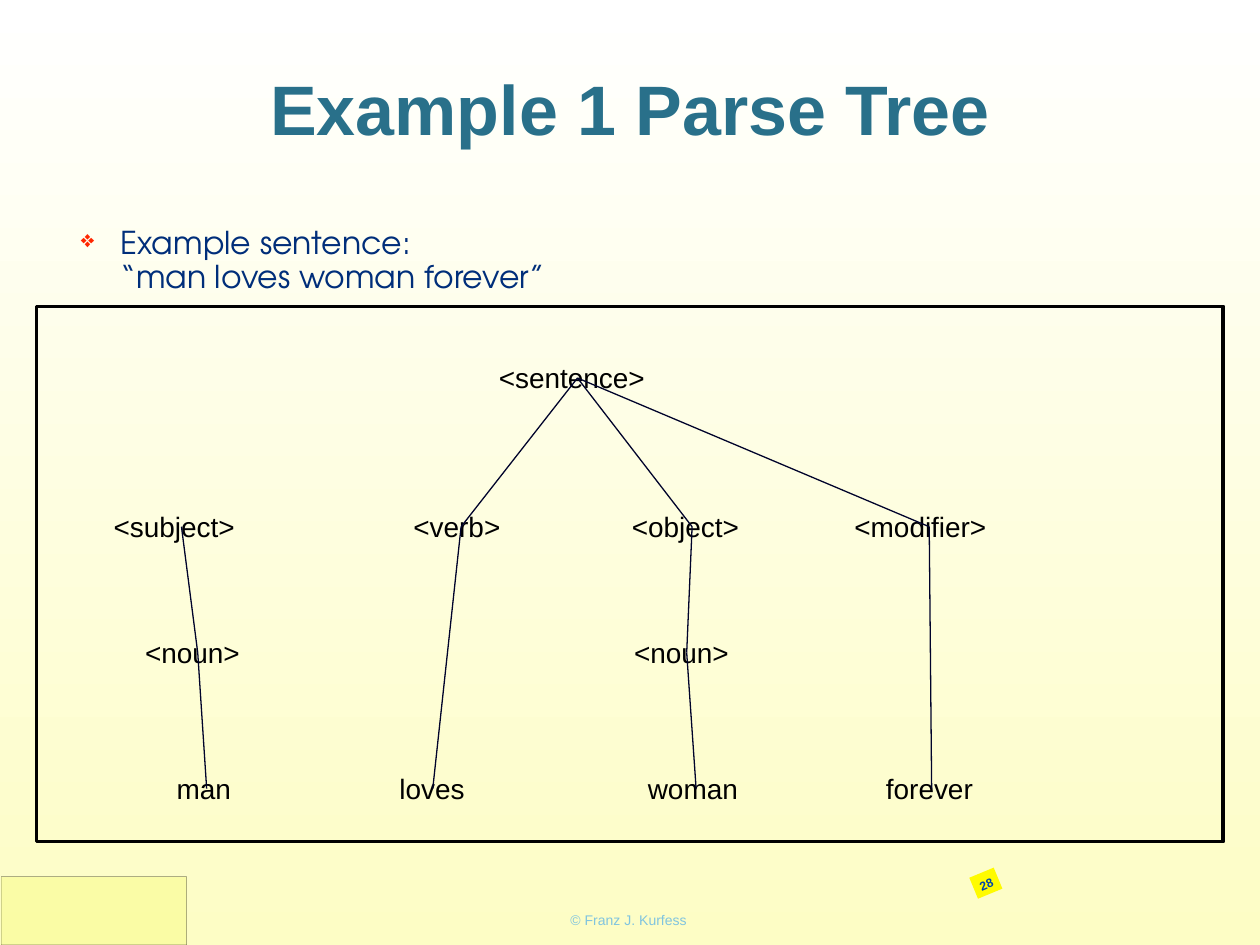
from lxml import etree
from pptx import Presentation
from pptx.dml.color import RGBColor
from pptx.enum.shapes import MSO_CONNECTOR, MSO_SHAPE
from pptx.enum.text import MSO_ANCHOR, PP_ALIGN
from pptx.oxml.ns import qn
from pptx.util import Pt

RECTANGLE = MSO_SHAPE.RECTANGLE
STRAIGHT = MSO_CONNECTOR.STRAIGHT
LEFT, CENTER = PP_ALIGN.LEFT, PP_ALIGN.CENTER
TOP, MIDDLE = MSO_ANCHOR.TOP, MSO_ANCHOR.MIDDLE

COLORS = {
    "cream": "FDFDC5", "white": "FFFFFF", "panel": "F8FC84",
    "black": "000000", "footer": "80C4DF", "title": "29708A",
    "body": "002E7A", "bullet": "FF2600", "edge": "00032B",
    "badge": "FFFB00", "number": "0048AA",
}
SANS, DISPLAY = "Arial", "TeX Gyre Adventor"
INSET = 3
NODE_HEIGHT = 26

ROWS = {"root": 216, "role": 301, "noun": 373, "word": 450.7}
NODES = {
    "man": ("man", 118.1, "word", 40.3),
    "loves": ("loves", 247.3, "word", 44),
    "woman": ("woman", 397.8, "word", 61.2),
    "forever": ("forever", 532.4, "word", 58.3),
    "sentence": ("<sentence>", 330, "root", 95.8),
    "object": ("<object>", 395.5, "role", 74.9),
    "subject noun": ("<noun>", 113, "noun", 66.2),
    "object noun": ("<noun>", 392.4, "noun", 66.2),
    "subject": ("<subject>", 103.7, "role", 83.5),
    "verb": ("<verb>", 263.5, "role", 60.5),
    "modifier": ("<modifier>", 531, "role", 91.4),
}
EDGES = [
    ("sentence", "verb"), ("sentence", "object"), ("sentence", "modifier"),
    ("modifier", "forever"), ("verb", "loves"),
    ("subject", "subject noun"), ("subject noun", "man"),
    ("object", "object noun"), ("object noun", "woman"),
]


def rgb(name):
    return RGBColor.from_string(COLORS[name])


class SlideBuilder:
    def __init__(self, slide):
        self.slide = slide

    def background(self, bottom, top):
        fill = self.slide.background.fill
        fill.gradient()
        fill.gradient_angle = 90
        for stop, name in zip(fill.gradient_stops, (bottom, top)):
            stop.color.rgb = rgb(name)

    def rectangle(self, left, top, width, height, fill=None, line=None,
                  weight=1, opacity=None):
        box = self.slide.shapes.add_shape(
            RECTANGLE, Pt(left), Pt(top), Pt(width), Pt(height))
        box.shadow.inherit = False
        for paint, name in ((box.fill, fill), (box.line.fill, line)):
            if name:
                paint.solid()
                paint.fore_color.rgb = rgb(name)
            else:
                paint.background()
        if line:
            box.line.width = Pt(weight)
        if opacity:
            for color in box._element.spPr.iter(qn("a:srgbClr")):
                alpha = etree.SubElement(color, qn("a:alpha"))
                alpha.set("val", str(opacity * 1000))
        return box

    def label(self, box, lines, size, color, font=SANS, bold=False,
              align=LEFT, anchor=TOP, wrap=True, bullet=None):
        frame = box.text_frame
        frame.word_wrap = wrap
        frame.vertical_anchor = anchor
        frame.margin_left = frame.margin_right = Pt(INSET)
        frame.margin_top = frame.margin_bottom = Pt(INSET)
        para = frame.paragraphs[0]
        para.alignment = align
        if bullet:
            self.bullet(para, bullet)
        for index, line in enumerate(lines):
            if index:
                para.add_line_break()
            span = para.add_run()
            span.text = line
            span.font.name = font
            span.font.size = Pt(size)
            span.font.bold = bold
            span.font.color.rgb = rgb(color)

    def bullet(self, para, mark):
        para.line_spacing = 0.9
        props = para._p.get_or_add_pPr()
        props.set("marL", str(Pt(22.5)))
        props.set("indent", str(-Pt(22.5)))
        color = etree.SubElement(props, qn("a:buClr"))
        etree.SubElement(color, qn("a:srgbClr")).set("val", COLORS["bullet"])
        etree.SubElement(props, qn("a:buSzPct")).set("val", "75000")
        etree.SubElement(props, qn("a:buChar")).set("char", mark)

    def text(self, left, top, width, height, lines, size, color, **style):
        box = self.slide.shapes.add_textbox(
            Pt(left), Pt(top), Pt(width), Pt(height))
        self.label(box, lines, size, color, **style)

    def node(self, label, center, row, width):
        self.text(center - width / 2, ROWS[row] - NODE_HEIGHT / 2, width,
                  NODE_HEIGHT, [label], 16, "black", wrap=False)

    def edge(self, parent, child):
        (_, x1, row1, _), (_, x2, row2, _) = NODES[parent], NODES[child]
        line = self.slide.shapes.add_connector(
            STRAIGHT, Pt(x1), Pt(ROWS[row1]), Pt(x2), Pt(ROWS[row2]))
        line.line.color.rgb = rgb("edge")
        line.line.width = Pt(0.75)
        etree.SubElement(line._element.spPr, qn("a:effectLst"))


def main():
    deck = Presentation()
    deck.slide_width, deck.slide_height = Pt(720), Pt(540)
    page = SlideBuilder(deck.slides.add_slide(deck.slide_layouts[6]))
    page.background("cream", "white")
    page.rectangle(0.7, 501, 106, 39, "panel", "black", 0.25, opacity=48)
    page.text(242, 516.5, 234.5, 18.5, ["© Franz J. Kurfess"], 8, "footer",
              align=CENTER, anchor=MIDDLE)
    page.rectangle(21, 175, 678, 306, line="black", weight=2)
    for node in NODES.values():
        page.node(*node)
    for parent, child in EDGES:
        page.edge(parent, child)
    page.text(43.2, 0, 633.6, 122.4, ["Example 1 Parse Tree"], 40, "title",
              bold=True, align=CENTER, anchor=MIDDLE)
    page.text(43.2, 126.7, 633, 376,
              ["Example sentence:", "“man loves woman forever”"], 18, "body",
              font=DISPLAY, bullet="❖")
    badge = page.rectangle(555.8, 498.2, 15.1, 13, "badge")
    badge.rotation = 337.5
    page.label(badge, ["28"], 7, "number", bold=True, align=CENTER,
               wrap=False)
    deck.save("out.pptx")


if __name__ == "__main__":
    main()
